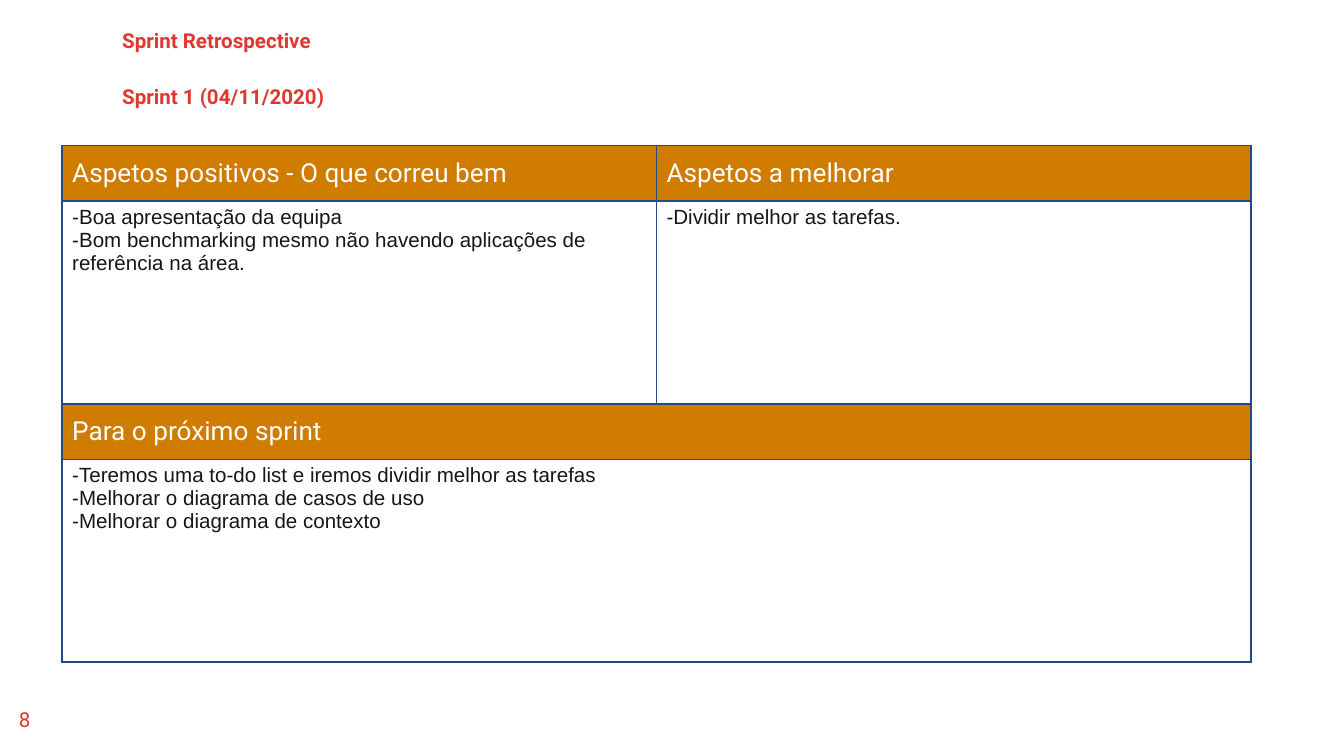
import pptx
import pptx.dml.color
import pptx.enum.text
import pptx.oxml
import pptx.oxml.ns
import pptx.util
from dataclasses import dataclass

Pt = pptx.util.Pt
ANCHOR = pptx.enum.text.MSO_ANCHOR
ALIGN = pptx.enum.text.PP_ALIGN


@dataclass(frozen=True)
class Theme:
    red: str = "DE3831"
    orange: str = "D07C00"
    white: str = "FFFFFF"
    ink: str = "171616"
    border: str = "264A80"
    heading_font: str = "Roboto"
    body_font: str = "Arial"
    heading_size: float = 14
    body_size: float = 11
    border_width: float = 1
    inset_x: float = 5.4
    inset_y: float = 2.7


def rgb(color):
    return pptx.dml.color.RGBColor.from_string(color)


class SlideBuilder:
    def __init__(self, slide, theme):
        self.s = slide
        self.theme = theme

    def set_text(self, tf, lines, font, size, color, bold=False, align=ALIGN.LEFT, spacing=1.0):
        tf.word_wrap = True
        for i, line in enumerate(lines):
            p = tf.paragraphs[0] if i == 0 else tf.add_paragraph()
            p.text = line
            p.alignment = align
            p.line_spacing = spacing
            p.space_before = p.space_after = Pt(0)
            p.font.name = font
            p.font.size = Pt(size)
            p.font.bold = bold
            p.font.color.rgb = rgb(color)

    def label(self, sp, box, text, **style):
        sp.left, sp.top, sp.width, sp.height = (Pt(v) for v in box)
        tf = sp.text_frame
        tf.auto_size = pptx.enum.text.MSO_AUTO_SIZE.NONE
        tf.vertical_anchor = ANCHOR.TOP
        tf.margin_left = tf.margin_right = Pt(self.theme.inset_x)
        tf.margin_top = tf.margin_bottom = Pt(self.theme.inset_y)
        self.set_text(tf, [text], self.theme.heading_font, self.theme.body_size,
                      self.theme.red, **style)

    def heading(self, index, box, text):
        self.label(self.s.placeholders[index], box, text, bold=True, spacing=0.9)

    def page_number(self, box, text):
        sp = self.s.shapes.add_textbox(0, 0, 0, 0)
        self.label(sp, box, text, align=ALIGN.CENTER)

    def outline(self, cell):
        tcPr = cell._tc.get_or_add_tcPr()
        for side in "LRTB":
            tcPr.append(pptx.oxml.parse_xml(
                f'<a:ln{side} {pptx.oxml.ns.nsdecls("a")} w="{Pt(self.theme.border_width)}">'
                f'<a:solidFill><a:srgbClr val="{self.theme.border}"/></a:solidFill>'
                f'</a:ln{side}>'))

    def fill_cell(self, cell, lines, is_header):
        t = self.theme
        self.outline(cell)
        cell.fill.solid()
        cell.fill.fore_color.rgb = rgb(t.orange if is_header else t.white)
        cell.margin_left = cell.margin_right = Pt(t.inset_x)
        cell.margin_top = cell.margin_bottom = Pt(t.inset_y)
        cell.vertical_anchor = ANCHOR.MIDDLE if is_header else ANCHOR.TOP
        if is_header:
            style = t.heading_font, t.heading_size, t.white
        else:
            style = t.body_font, t.body_size, t.ink
        self.set_text(cell.text_frame, lines, *style)

    def table(self, left, top, widths, heights, rows):
        frame = self.s.shapes.add_table(len(heights), len(widths), Pt(left), Pt(top),
                                        Pt(sum(widths)), Pt(sum(heights)))
        table = frame.table
        for column, width in zip(table.columns, widths):
            column.width = Pt(width)
        for r, (height, texts) in enumerate(zip(heights, rows)):
            table.rows[r].height = Pt(height)
            # A row with a single text spans the full width
            if len(texts) == 1:
                table.cell(r, 0).merge(table.cell(r, len(widths) - 1))
            for c in range(len(widths)):
                lines = texts[c] if c < len(texts) else []
                self.fill_cell(table.cell(r, c), lines, is_header=r % 2 == 0)


def main():
    prs = pptx.Presentation()
    prs.slide_width, prs.slide_height = Pt(720), Pt(405)
    builder = SlideBuilder(prs.slides.add_slide(prs.slide_layouts[0]), Theme())

    # Title and sprint date
    builder.heading(0, (60, 13.6, 562, 24.5), "Sprint Retrospective")
    builder.heading(1, (60, 44, 562, 23), "Sprint 1 (04/11/2020)")

    # Page number
    builder.page_number((0.7, 376, 25, 21.6), "8")

    # Retrospective table: header and content rows alternate
    builder.table(33.3, 78, [318.4] * 2, [29.8, 108.5] * 2, [
        [["Aspetos positivos - O que correu bem"], ["Aspetos a melhorar"]],
        [["-Boa apresentação da equipa",
          "-Bom benchmarking mesmo não havendo aplicações de referência na área."],
         ["-Dividir melhor as tarefas."]],
        [["Para o próximo sprint"]],
        [["-Teremos uma to-do list e iremos dividir melhor as tarefas",
          "-Melhorar o diagrama de casos de uso",
          "-Melhorar o diagrama de contexto"]],
    ])

    prs.save("out.pptx")


if __name__ == "__main__":
    main()
